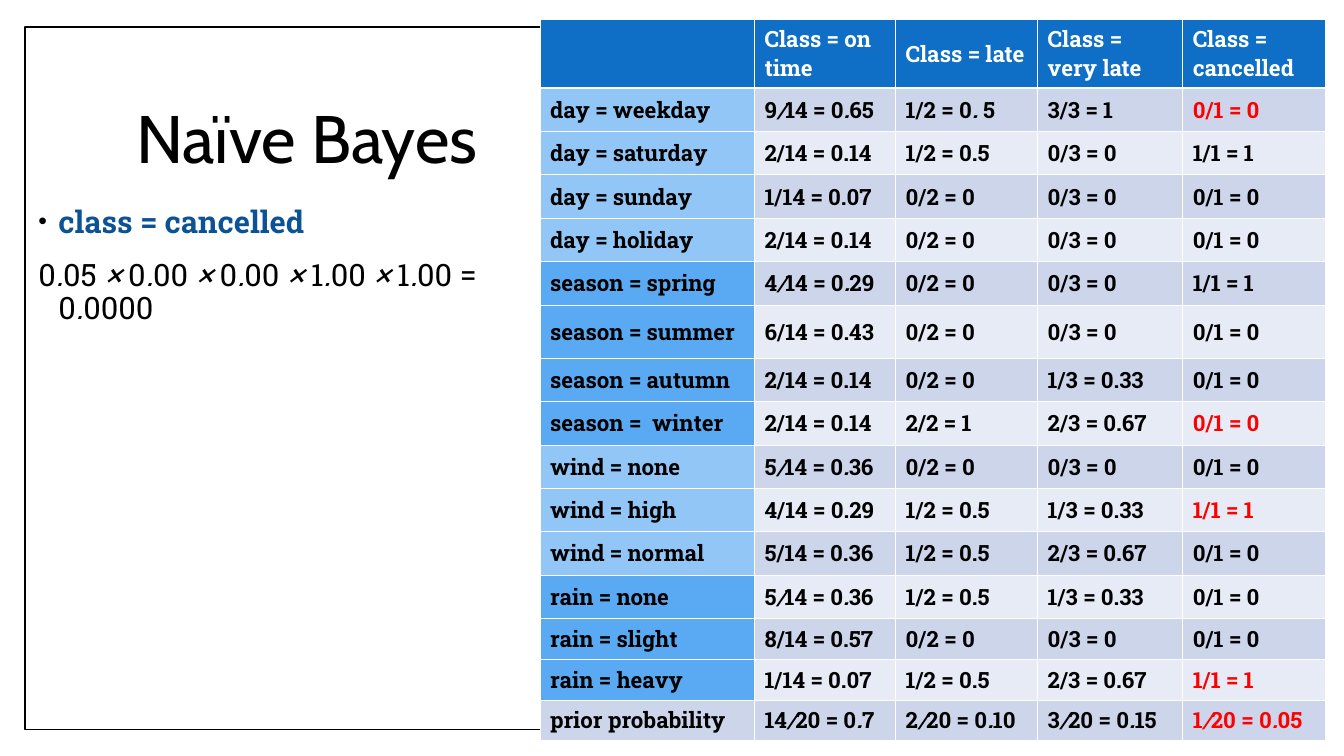
from lxml.etree import SubElement
from pptx import Presentation
from pptx.dml.color import RGBColor
from pptx.enum.shapes import MSO_SHAPE
from pptx.enum.text import MSO_ANCHOR, MSO_AUTO_SIZE, PP_ALIGN
from pptx.oxml import parse_xml
from pptx.oxml.ns import nsdecls, qn
from pptx.util import Pt

PX = 9144  # 100 px to the inch
FONT = "Roboto Slab"


def rgb(value):
    return RGBColor.from_string(value)


def write(p, text, size, color, bold):
    """Fill a paragraph; the parts of the text between asterisks are italic."""
    for i, part in enumerate(text.split("*")):
        if part:
            r = p.add_run()
            r.text = part
            r.font.name, r.font.size = FONT, Pt(size)
            r.font.bold, r.font.italic = bold, i % 2 == 1
            r.font.color.rgb = rgb(color)


prs = Presentation()
prs.slide_width, prs.slide_height = 1334 * PX, 750 * PX
s = prs.slides.add_slide(prs.slide_layouts[1])
title, body = s.placeholders

# Frame, behind everything else
frame = s.shapes.add_shape(MSO_SHAPE.RECTANGLE, 25 * PX, 27 * PX, 1282 * PX, 697 * PX)
frame.shadow.inherit = False
frame.fill.solid()
frame.fill.fore_color.rgb = rgb("FFFFFF")
frame.line.color.rgb = rgb("000000")
frame.line.width = Pt(1)
s.shapes._spTree.insert(2, frame._element)

# Title
title.left, title.top, title.width, title.height = 125 * PX, 67 * PX, 1080 * PX, 148 * PX
tf = title.text_frame
tf.text = "Naïve Bayes"
tf.auto_size = MSO_AUTO_SIZE.NONE
tf.vertical_anchor = MSO_ANCHOR.MIDDLE
p = tf.paragraphs[0]
p.alignment, p.line_spacing = PP_ALIGN.LEFT, 0.9
font = p.runs[0].font
font.name, font.size = "Cabin", Pt(48)
font.color.rgb = rgb("000000")

# Worked product for one class
body.left, body.top, body.width, body.height = 23 * PX, 200 * PX, 511 * PX, 476 * PX
tf = body.text_frame
tf.auto_size = MSO_AUTO_SIZE.NONE
heading, product = tf.paragraphs[0], tf.add_paragraph()
for p, space in ((heading, 0), (product, 14)):
    p.line_spacing, p.space_before = 0.9, Pt(space)
    pPr = p._p.get_or_add_pPr()
    pPr.set("marL", str(25 * PX))
    pPr.set("indent", str(-20 * PX))
pPr = heading._p.get_or_add_pPr()
SubElement(SubElement(pPr, qn("a:buClr")), qn("a:srgbClr"), val="000000")
SubElement(pPr, qn("a:buSzPct"), val="80000")
SubElement(pPr, qn("a:buChar"), char="•")
SubElement(product._p.get_or_add_pPr(), qn("a:buNone"))
write(heading, "class = cancelled", 22, "0B5395", True)
write(product, "0*.*05 *× *0*.*00 *× *0*.*00 *× *1*.*00 *× *1*.*00 = 0*.*0000",
      22, "000000", False)

# Probability table
ROWS = [
    ("", "Class = on time", "Class = late", "Class = very late", "Class = cancelled"),
    ("day = weekday", "9*/*14 = 0*.*65", "1/2 = 0*.* 5", "3/3 = 1", "0/1 = 0"),
    ("day = saturday", "2/14 = 0.14", "1/2 = 0.5", "0/3 = 0", "1/1 = 1"),
    ("day = sunday", "1/14 = 0.07", "0/2 = 0", "0/3 = 0", "0/1 = 0"),
    ("day = holiday", "2/14 = 0.14", "0/2 = 0", "0/3 = 0", "0/1 = 0"),
    ("season = spring", "4*/*14 = 0*.*29", "0/2 = 0", "0/3 = 0", "1/1 = 1"),
    ("season = summer", "6/14 = 0.43", "0/2 = 0", "0/3 = 0", "0/1 = 0"),
    ("season = autumn", "2/14 = 0.14", "0/2 = 0", "1/3 = 0.33", "0/1 = 0"),
    ("season =  winter", "2/14 = 0.14", "2/2 = 1", "2/3 = 0.67", "0/1 = 0"),
    ("wind = none", "5*/*14 = 0*.*36", "0/2 = 0", "0/3 = 0", "0/1 = 0"),
    ("wind = high", "4/14 = 0.29", "1/2 = 0.5", "1/3 = 0.33", "1/1 = 1"),
    ("wind = normal", "5/14 = 0.36", "1/2 = 0.5", "2/3 = 0.67", "0/1 = 0"),
    ("rain = none", "5*/*14 = 0*.*36", "1/2 = 0.5", "1/3 = 0.33", "0/1 = 0"),
    ("rain = slight", "8/14 = 0.57", "0/2 = 0", "0/3 = 0", "0/1 = 0"),
    ("rain = heavy", "1/14 = 0.07", "1/2 = 0.5", "2/3 = 0.67", "1/1 = 1"),
    ("prior probability", "14*/*20 = 0*.*7", "2*/*20 = 0*.*10", "3*/*20 = 0*.*15",
     "1*/*20 = 0*.*05"),
]
COL_WIDTHS = [213, 140, 141, 144, 142]
ROW_HEIGHTS = [61] + [43] * 5 + [53] + [43] * 6 + [41, 40, 40]
LABEL_FILLS = {"day": "91C6F7", "season": "59AAF2", "wind": "91C6F7", "rain": "59AAF2"}
BAND_FILLS = ["E7EBF5", "CCD5EA"]
RED_ROWS = {1, 8, 10, 14, 15}  # factors of the cancelled class
LAST = len(ROWS) - 1

table = s.shapes.add_table(len(ROWS), len(COL_WIDTHS), 536 * PX, 19 * PX,
                           sum(COL_WIDTHS) * PX, sum(ROW_HEIGHTS) * PX).table
table.horz_banding = False
for column, width in zip(table.columns, COL_WIDTHS):
    column.width = width * PX
for row, height in zip(table.rows, ROW_HEIGHTS):
    row.height = height * PX

for i, row in enumerate(ROWS):
    for j, text in enumerate(row):
        cell = table.cell(i, j)
        fill, color = BAND_FILLS[i % 2], "000000"
        if i == 0:
            fill, color = "0F6FC6", "FFFFFF"
        elif j == 0:
            fill = LABEL_FILLS.get(text.split()[0], fill)
        elif j == 4 and i in RED_ROWS:
            color = "FF0000"
        for side in "LRTB":
            thick = (i, side) in ((0, "B"), (1, "T"))
            cell._tc.get_or_add_tcPr().append(parse_xml(
                f'<a:ln{side} {nsdecls("a")} w="{Pt(1.47 if thick else 0.45)}">'
                f'<a:solidFill><a:srgbClr val="FFFFFF"/></a:solidFill></a:ln{side}>'))
        cell.fill.solid()
        cell.fill.fore_color.rgb = rgb(fill)
        top = i == LAST and j > 0
        cell.vertical_anchor = MSO_ANCHOR.TOP if top else MSO_ANCHOR.MIDDLE
        write(cell.text_frame.paragraphs[0], text, 16, color, True)

prs.save("out.pptx")
